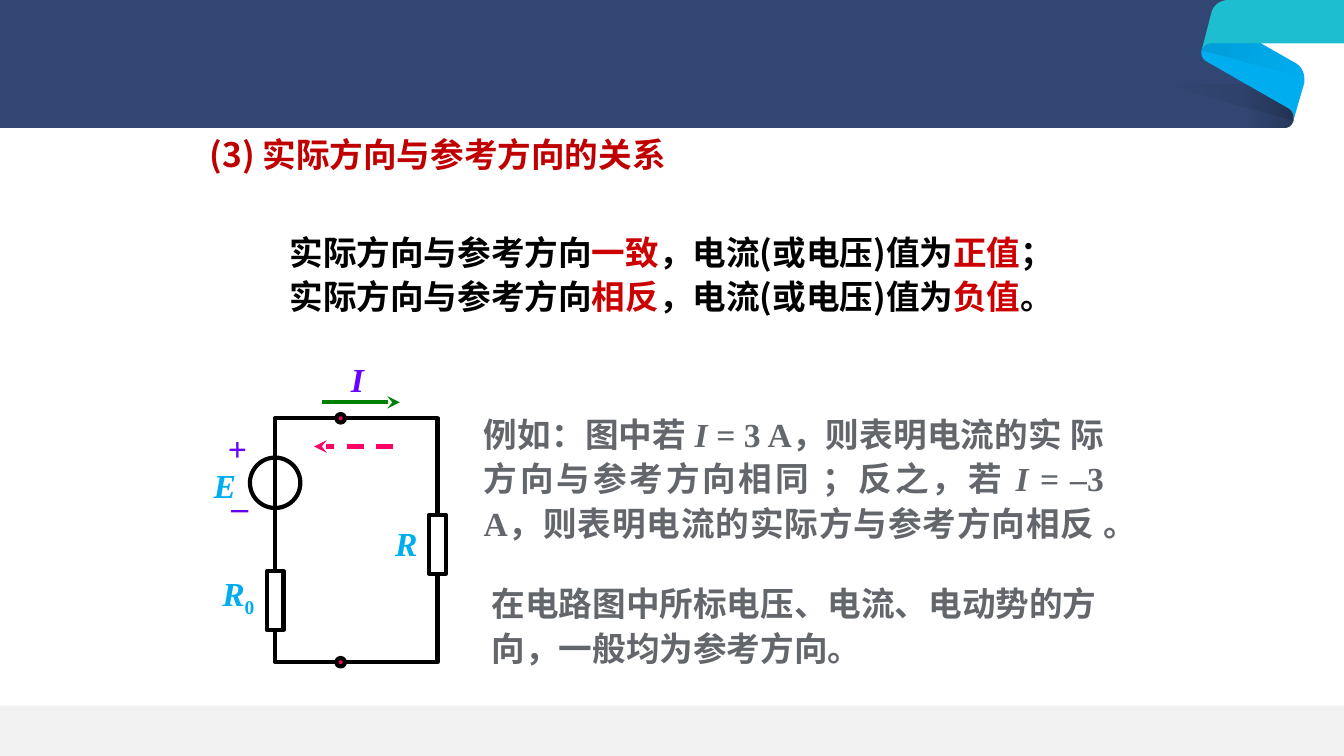
from typing import NamedTuple, Optional

from pptx import Presentation
from pptx.dml.color import RGBColor
from pptx.enum.dml import MSO_LINE
from pptx.enum.shapes import MSO_CONNECTOR, MSO_SHAPE
from pptx.enum.text import MSO_ANCHOR, MSO_AUTO_SIZE, PP_ALIGN
from pptx.oxml.xmlchemy import OxmlElement
from pptx.util import Inches, Pt

# Grid: 160 columns by 90 rows, 12 cells to the inch
COLUMNS, ROWS, CELLS_PER_INCH = 160, 90, 12
SANS, SERIF = "Noto Sans CJK SC", "Times New Roman"
NAVY, BLUE, TEAL, PALE = "314672", "00ADEF", "1DBED0", "F2F2F2"
BLACK, WHITE, GREY = "000000", "FFFFFF", "63676C"
DARK_RED, RED, VIOLET, GREEN, PINK = "C00000", "CC0000", "6600FF", "008000", "FF0066"
TEXT_SIZE, LINE_WIDTH, LEADING = 24, 3, 1.1


class Run(NamedTuple):
    text: str
    color: str
    font: str = SANS
    italic: bool = False
    subscript: bool = False


class Outline(NamedTuple):
    """Steps of two numbers are corners, steps of six are Bezier curves."""
    steps: list
    color: str
    opacity: Optional[int] = None
    angle: int = 0


class Part(NamedTuple):
    preset: MSO_SHAPE
    center_x: float
    center_y: float
    width: float
    height: float
    fill: Optional[str] = None
    line: Optional[str] = BLACK


class Label(NamedTuple):
    center_x: float
    center_y: float
    width: float
    runs: list


class Arrow(NamedTuple):
    start_x: float
    end_x: float
    y: float
    color: str
    dashed: bool = False


class Passage(NamedTuple):
    box: tuple
    paragraphs: list
    align: PP_ALIGN
    wrap: bool = True
    anchor: MSO_ANCHOR = MSO_ANCHOR.MIDDLE


def cells(count: float) -> int:
    return round(Inches(1) * count / CELLS_PER_INCH)


def rgb(color: str) -> RGBColor:
    return RGBColor.from_string(color)


def trace(steps: list, pieces: int = 10) -> list:
    points = [steps[0]]
    for step in steps[1:]:
        if len(step) == 2:
            points.append(step)
            continue
        controls = [points[-1], step[:2], step[2:4], step[4:]]
        for t in (i / pieces for i in range(1, pieces + 1)):
            weights = ((1 - t) ** 3, 3 * t * (1 - t) ** 2, 3 * t * t * (1 - t), t ** 3)
            points.append(tuple(sum(w * c[axis] for w, c in zip(weights, controls))
                                for axis in (0, 1)))
    return [(cells(x), cells(y)) for x, y in points]


def draw_outline(shapes, outline: Outline) -> None:
    start, *rest = trace(outline.steps)
    builder = shapes.build_freeform(*start)
    builder.add_line_segments(rest, close=True)
    ribbon = builder.convert_to_shape()
    ribbon.shadow.inherit = False
    ribbon.line.fill.background()
    if outline.opacity is None:
        ribbon.fill.solid()
        ribbon.fill.fore_color.rgb = rgb(outline.color)
        return
    ribbon.fill.gradient()
    ribbon.fill.gradient_angle = outline.angle
    for stop, opacity in zip(ribbon.fill.gradient_stops, (outline.opacity, 0)):
        stop.color.rgb = rgb(outline.color)
        alpha = OxmlElement("a:alpha")
        alpha.set("val", str(opacity * 1000))
        stop.color._xFill.find(".//{*}srgbClr").append(alpha)


def draw_part(shapes, part: Part) -> None:
    symbol = shapes.add_shape(
        part.preset, cells(part.center_x - part.width / 2),
        cells(part.center_y - part.height / 2), cells(part.width), cells(part.height))
    symbol.shadow.inherit = False
    if part.fill:
        symbol.fill.solid()
        symbol.fill.fore_color.rgb = rgb(part.fill)
    else:
        symbol.fill.background()
    if part.line:
        symbol.line.color.rgb = rgb(part.line)
        symbol.line.width = Pt(LINE_WIDTH)
    else:
        symbol.line.fill.background()


def draw_arrow(shapes, arrow: Arrow) -> None:
    pointer = shapes.add_connector(MSO_CONNECTOR.STRAIGHT, cells(arrow.start_x),
                                   cells(arrow.y), cells(arrow.end_x), cells(arrow.y))
    pointer.line.color.rgb = rgb(arrow.color)
    pointer.line.width = Pt(LINE_WIDTH)
    if arrow.dashed:
        pointer.line.dash_style = MSO_LINE.DASH
    head = OxmlElement("a:tailEnd")
    head.set("type", "stealth")
    pointer.line._get_or_add_ln().append(head)
    pointer._element.spPr.append(OxmlElement("a:effectLst"))


def write_runs(paragraph, runs: list) -> None:
    for item in runs:
        run = paragraph.add_run()
        run.text = item.text
        font = run.font
        font.size, font.bold, font.italic = Pt(TEXT_SIZE), True, item.italic
        font.name, font.color.rgb = item.font, rgb(item.color)
        east_asian = OxmlElement("a:ea")
        east_asian.set("typeface", SANS)
        font._element.append(east_asian)
        if item.subscript:
            font._element.set("baseline", "-25000")


def draw_passage(shapes, passage: Passage) -> None:
    frame = shapes.add_textbox(*map(cells, passage.box)).text_frame
    frame.word_wrap = passage.wrap
    frame.auto_size = MSO_AUTO_SIZE.SHAPE_TO_FIT_TEXT
    frame.vertical_anchor = passage.anchor
    for index, runs in enumerate(passage.paragraphs):
        paragraph = frame.add_paragraph() if index else frame.paragraphs[0]
        paragraph.alignment = passage.align
        if passage.wrap or len(passage.paragraphs) > 1:
            paragraph.line_spacing = LEADING
        write_runs(paragraph, runs)


def draw_label(shapes, label: Label, height: float = 6) -> None:
    box = (label.center_x - label.width / 2, label.center_y - height / 2, label.width, height)
    draw_passage(shapes, Passage(box, [label.runs], PP_ALIGN.CENTER, wrap=False))


def symbol_run(text: str, color: str, italic: bool = True, subscript: bool = False) -> Run:
    return Run(text, color, SERIF, italic, subscript)


def rule(match: str, sign: str, ending: str) -> list:
    return [Run("实际方向与参考方向", BLACK), Run(match, RED), Run("，电流(或电压)值为", BLACK),
            Run(sign, RED), Run(ending, BLACK)]


# Header band, ribbon and its shades
TIP = (153.96, 13.32, 154.08, 13.8, 153.96, 14.4)
TIP_BACK = (154.08, 13.8, 153.96, 13.32, 153.48, 12.96)
LOWER_CORNER = (153.84, 14.88, 153.48, 15.24, 152.88, 15.24)
UPPER_CORNER = (155.28, 8.64, 154.92, 7.92, 154.32, 7.56)
HEADER = [
    Outline([(0, 0), (149.16, 0), (149.16, 8.64), (153.48, 12.96), TIP, LOWER_CORNER,
             (0, 15.24)], NAVY),
    Outline([(143.64, 7.32), (153.48, 12.96), TIP, (155.28, 9.84), (155.28, 9.36),
             UPPER_CORNER, (149.28, 4.68), (144.24, 4.92),
             (143.64, 4.92, 143.16, 5.52, 143.04, 6),
             (142.92, 6.48, 143.16, 7.08, 143.64, 7.32)], BLUE),
    Outline([(143.04, 6), (143.16, 5.52, 143.64, 5.16, 144.24, 5.16), (160, 5.16), (160, 0),
             (146.28, 0), (145.32, 0, 144.48, 0.6, 144.24, 1.44), (143.28, 5.16)], TEAL),
    Outline([(148.44, 10.08), (148.44, 15.24), (152.88, 15.24),
             (153.48, 15.24, 153.84, 14.88, 153.96, 14.4), TIP_BACK], BLACK, 20, 180),
    Outline([(138.24, 10.08), (153.96, 14.4), TIP_BACK, (148.44, 10.08)], BLACK, 10, 180),
    Outline([(143.04, 6), (155.28, 9.24), UPPER_CORNER, (150, 5.16), (144.24, 5.16),
             (143.64, 5.16, 143.16, 5.52, 143.04, 6)], BLACK, 10),
]
FOOTER = Part(MSO_SHAPE.RECTANGLE, COLUMNS / 2, 87, COLUMNS, 6, PALE, None)

# Circuit: loop, source, resistors and terminals
LEFT, RIGHT, TOP, BOTTOM, TERMINAL_X = 32.76, 52.08, 49.8, 78.84, 40.56
CIRCUIT = [
    Part(MSO_SHAPE.RECTANGLE, (LEFT + RIGHT) / 2, (TOP + BOTTOM) / 2, RIGHT - LEFT, BOTTOM - TOP),
    Part(MSO_SHAPE.OVAL, LEFT, 57.48, 6, 6),
    *(Part(MSO_SHAPE.RECTANGLE, x, y, 2, 7, WHITE) for x, y in ((LEFT, 71.5), (RIGHT, 64.8))),
    *(Part(MSO_SHAPE.OVAL, TERMINAL_X, y, 1, 1, PINK) for y in (BOTTOM, TOP)),
]
ARROWS = [Arrow(38.3, 47.6, 47.9, GREEN), Arrow(46.8, 37.4, 53.15, PINK, dashed=True)]
LABELS = [
    Label(48.36, 64.7, 5, [symbol_run("R", BLUE)]),
    Label(28.56, 60.25, 5, [symbol_run("–", VIOLET, False)]),
    Label(28.26, 53.4, 4.7, [symbol_run("+", VIOLET, False)]),
    Label(28.38, 70.9, 6.4, [symbol_run("R", BLUE), symbol_run("0", BLUE, False, True)]),
    Label(42.54, 45.1, 4, [symbol_run("I", VIOLET)]),
    Label(26.76, 57.7, 5, [symbol_run("E", BLUE)]),
]

# Heading, rules, example and remark
HEADING_BOX = (23.76, 13.44, 75.12, 9.72)
HEADING = [Run("(3) 实际方向与参考方向的关系", DARK_RED)]
EXAMPLE = [("例如：图中若 ", False), ("I ", True),
           ("= 3 A，则表明电流的实 际方向与参考方向相同 ；反之，若 ", False), ("I = –", True),
           ("3 A，则表明电流的实际方与参考方向相反 。", False)]
PASSAGES = [
    Passage((56.4, 48.12, 76.2, 17.16), [[symbol_run(text, GREY, italic) for text, italic in EXAMPLE]],
            PP_ALIGN.JUSTIFY),
    Passage((57.36, 68.28, 76.68, 11.88),
            [[Run("在电路图中所标电压、电流、电动势的方向，一般均为参考方向。", GREY)]], PP_ALIGN.LEFT),
    Passage((33.24, 26.52, 93.48, 11.88), [rule("一致", "正值", "；"), rule("相反", "负值", "。")],
            PP_ALIGN.CENTER, False, MSO_ANCHOR.TOP),
]


def write_heading(title) -> None:
    title.left, title.top, title.width, title.height = map(cells, HEADING_BOX)
    frame = title.text_frame
    frame.word_wrap, frame.auto_size = False, MSO_AUTO_SIZE.NONE
    frame.vertical_anchor = MSO_ANCHOR.MIDDLE
    frame.paragraphs[0].alignment = PP_ALIGN.LEFT
    write_runs(frame.paragraphs[0], HEADING)


def main() -> None:
    deck = Presentation()
    deck.slide_width, deck.slide_height = cells(COLUMNS), cells(ROWS)
    slide = deck.slides.add_slide(deck.slide_layouts[5])
    write_heading(slide.shapes.title)
    for draw, items in ((draw_outline, HEADER), (draw_part, [FOOTER, *CIRCUIT]),
                        (draw_arrow, ARROWS), (draw_label, LABELS), (draw_passage, PASSAGES)):
        for item in items:
            draw(slide.shapes, item)
    deck.save("out.pptx")


if __name__ == "__main__":
    main()
